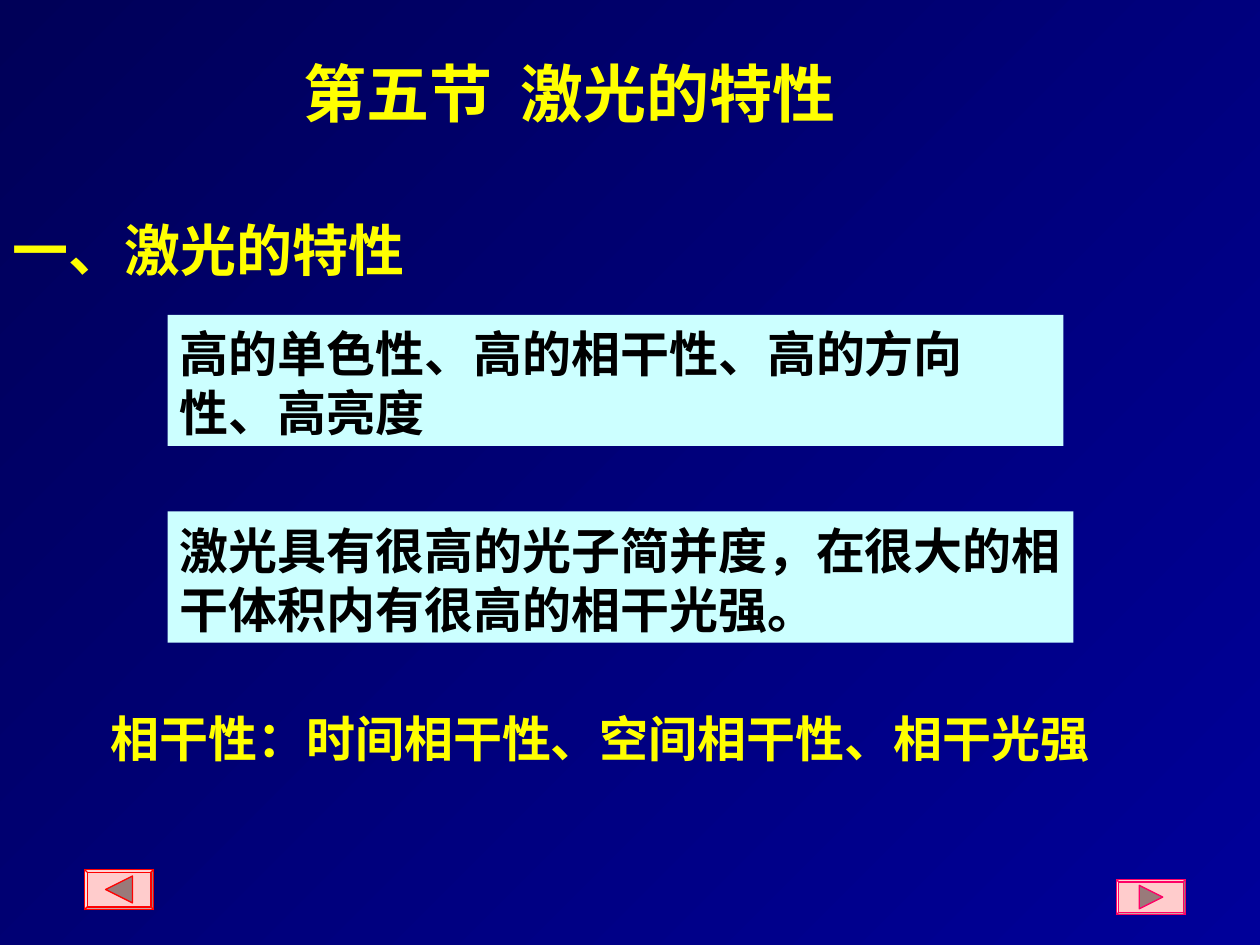
from dataclasses import dataclass

from lxml.etree import SubElement
from pptx import Presentation
from pptx.dml.color import RGBColor as Rgb
from pptx.enum.shapes import MSO_SHAPE as Shape
from pptx.enum.text import MSO_ANCHOR as Anchor, PP_ALIGN as Align
from pptx.oxml.ns import qn
from pptx.util import Inches, Pt


@dataclass(frozen=True)
class Theme:
    font: str = "Noto Sans CJK SC"
    night: Rgb = Rgb(0x00, 0x00, 0x58)
    blue: Rgb = Rgb(0x00, 0x00, 0x99)
    yellow: Rgb = Rgb(0xFF, 0xFF, 0x00)
    black: Rgb = Rgb(0x00, 0x00, 0x00)
    pale: Rgb = Rgb(0xCC, 0xFF, 0xFF)
    pink: Rgb = Rgb(0xFF, 0xCC, 0xCC)
    arrow: Rgb = Rgb(0x99, 0x7A, 0x7A)
    red: Rgb = Rgb(0xFF, 0x00, 0x00)
    rose: Rgb = Rgb(0xFF, 0x00, 0x66)
    title: int = 36
    heading: int = 32
    body: int = 28
    leading: float = 1.2


THEME = Theme()


def paint_background(slide):
    fill = slide.background.fill
    fill.gradient()
    fill.gradient_angle = 315
    for stop, color in zip(fill.gradient_stops, (THEME.night, THEME.blue)):
        stop.color.rgb = color


def write(shape, text, size, color):
    """Fill a shape with one bold paragraph at a fixed line pitch."""
    frame = shape.text_frame
    frame.word_wrap = True
    frame.vertical_anchor = Anchor.TOP
    frame.margin_left, frame.margin_right = Inches(0.1), Inches(0.05)
    frame.margin_top, frame.margin_bottom = Inches(0.07), Inches(0.03)
    paragraph = frame.paragraphs[0]
    paragraph.alignment = Align.LEFT
    paragraph.line_spacing = Pt(size * THEME.leading)
    paragraph._p.get_or_add_pPr().set("hangingPunct", "0")
    run = paragraph.add_run()
    run.text = text
    run.font.name = THEME.font
    run.font.size = Pt(size)
    run.font.bold = True
    run.font.color.rgb = color
    east_asian = SubElement(run._r.get_or_add_rPr(), qn("a:ea"))
    east_asian.set("typeface", THEME.font)


def add_label(slide, left, top, width, height, text, size):
    label = slide.shapes.add_textbox(
        Inches(left), Inches(top), Inches(width), Inches(height))
    write(label, text, size, THEME.yellow)


def add_panel(slide, top, width, text):
    panel = slide.shapes.add_shape(
        Shape.RECTANGLE, Inches(1.33), Inches(top), Inches(width), Inches(1.04))
    panel.shadow.inherit = False
    panel.fill.solid()
    panel.fill.fore_color.rgb = THEME.pale
    panel.line.fill.background()
    write(panel, text, THEME.body, THEME.black)


def style_button_part(part, fill, edge):
    part.shadow.inherit = False
    part.fill.solid()
    part.fill.fore_color.rgb = fill
    part.line.color.rgb = edge
    part.line.width = Pt(0.75)


def add_nav_button(slide, left, top, height, edge, direction):
    """Bevelled button with an arrow; direction is -1 for back, 1 for next."""
    width = 0.55
    bevel = slide.shapes.add_shape(
        Shape.BEVEL, Inches(left), Inches(top), Inches(width), Inches(height))
    bevel.adjustments[0] = 0.07
    style_button_part(bevel, THEME.pink, edge)

    # Triangle centred on the button
    middle_x, middle_y = left + width / 2, top + height / 2
    reach = height / 3
    base_x = Inches(middle_x - direction * reach)
    builder = slide.shapes.build_freeform(base_x, Inches(middle_y - reach))
    builder.add_line_segments([
        (Inches(middle_x + direction * reach), Inches(middle_y)),
        (base_x, Inches(middle_y + reach)),
    ], close=True)
    style_button_part(builder.convert_to_shape(), THEME.arrow, edge)


def main():
    deck = Presentation()
    deck.slide_width, deck.slide_height = Inches(10), Inches(7.5)
    slide = deck.slides.add_slide(deck.slide_layouts[6])
    paint_background(slide)

    # Title and section heading
    add_label(slide, 2.31, 0.36, 4.8, 0.7, "第五节  激光的特性", THEME.title)
    add_label(slide, 0, 1.64, 4.8, 0.64, "一、激光的特性", THEME.heading)

    # Properties of laser light
    add_panel(slide, 2.5, 7.11, "高的单色性、高的相干性、高的方向性、高亮度")
    add_panel(slide, 4.06, 7.19,
              "激光具有很高的光子简并度，在很大的相干体积内有很高的相干光强。")
    add_label(slide, 0.78, 5.55, 8.43, 0.57,
              "相干性：时间相干性、空间相干性、相干光强", THEME.body)

    # Page navigation
    add_nav_button(slide, 0.67, 6.9, 0.32, THEME.red, -1)
    add_nav_button(slide, 8.86, 6.98, 0.28, THEME.rose, 1)

    deck.save("out.pptx")


if __name__ == "__main__":
    main()
